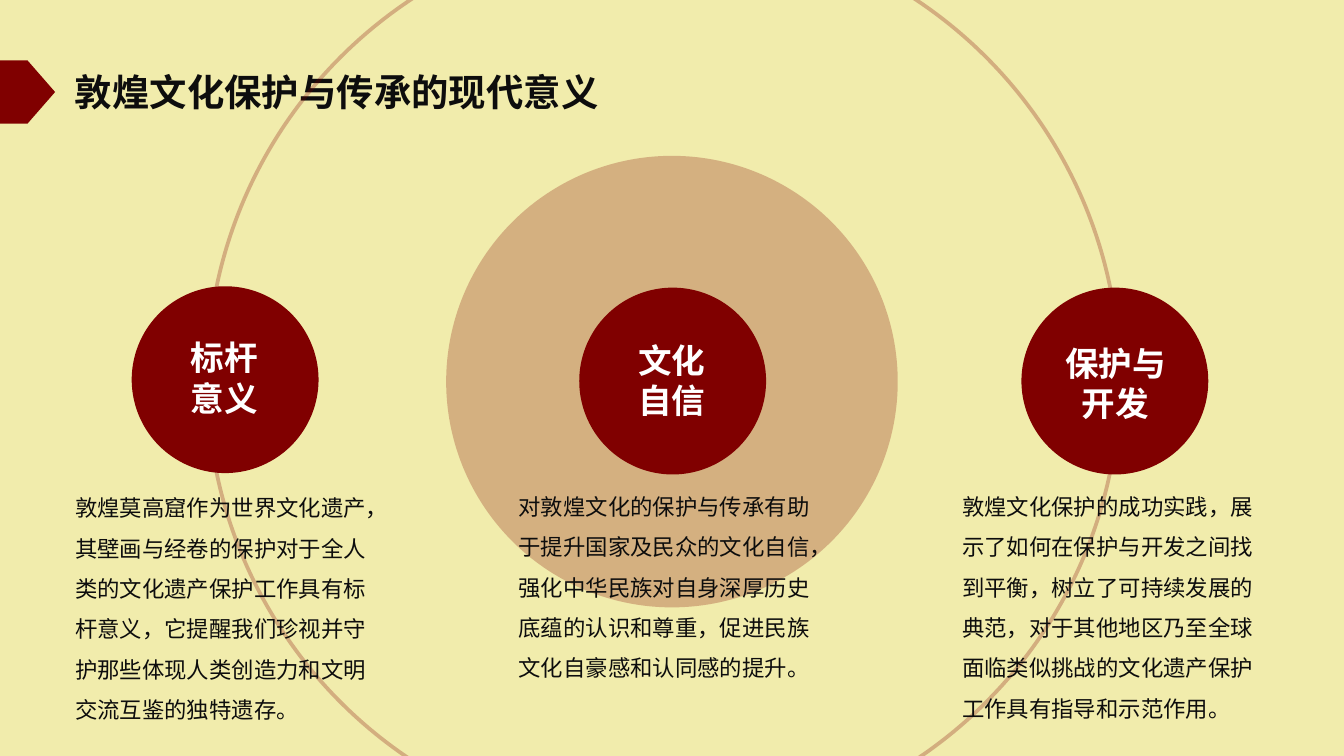
from pptx import Presentation
from pptx.dml.color import RGBColor
from pptx.enum.lang import MSO_LANGUAGE_ID
from pptx.enum.shapes import MSO_SHAPE
from pptx.enum.text import MSO_AUTO_SIZE, PP_ALIGN
from pptx.oxml.ns import qn
from pptx.util import Inches, Pt
from lxml import etree

OVAL = MSO_SHAPE.OVAL
PENTAGON = MSO_SHAPE.PENTAGON
CENTER = PP_ALIGN.CENTER
LEFT = PP_ALIGN.LEFT
CHINESE = MSO_LANGUAGE_ID.SIMPLIFIED_CHINESE
FIT = MSO_AUTO_SIZE.SHAPE_TO_FIT_TEXT

CREAM = RGBColor(0xF1, 0xEC, 0xAC)
MAROON = RGBColor(0x80, 0x00, 0x00)
INK = RGBColor(0x0D, 0x0D, 0x0D)
WHITE = RGBColor(0xFF, 0xFF, 0xFF)

WIDTH = Inches(10)
HEIGHT = WIDTH * 9 // 16
UNIT = WIDTH / 100
COLUMN_LEFT, COLUMN_STEP, COLUMN_WIDTH = 4.6, 33, 24.8
DISC = 13.9
CJK = "Noto Sans CJK SC"

TITLE = {"size": Pt(20), "name": CJK, "bold": True, "color": INK}
LABEL = {"size": Pt(18), "name": "Calibri", "bold": True, "color": WHITE}
BODY = {"size": Pt(12), "name": "Calibri", "bold": False, "color": INK}

COLUMNS = [
    {"label": "标杆意义", "label_box": (13.2, 24.6, 7.1, 7.1),
     "align": LEFT, "disc": (9.8, 21.3), "body_top": 35.3, "body_height": 18.8,
     "body": "敦煌莫高窟作为世界文化遗产，其壁画与经卷的保护对于全人类的"
             "文化遗产保护工作具有标杆意义，它提醒我们珍视并守护那些体现"
             "人类创造力和文明交流互鉴的独特遗存。"},
    {"label": "文化自信", "label_box": (46.5, 24.8, 7.1, 7.1),
     "align": LEFT, "disc": (43.1, 21.4), "body_top": 35.2, "body_height": 15.8,
     "body": "对敦煌文化的保护与传承有助于提升国家及民众的文化自信，强化"
             "中华民族对自身深厚历史底蕴的认识和尊重，促进民族文化自豪感"
             "和认同感的提升。"},
    {"label": "保护与开发", "label_box": (77.9, 25, 10.2, 7.1),
     "align": CENTER, "disc": (76, 21.4), "body_top": 35.2, "body_height": 18.8,
     "body": "敦煌文化保护的成功实践，展示了如何在保护与开发之间找到平衡，"
             "树立了可持续发展的典范，对于其他地区乃至全球面临类似挑战的"
             "文化遗产保护工作具有指导和示范作用。"},
]


def place(box):
    """Turn a box in grid units into slide lengths."""
    return [round(length * UNIT) for length in box]


def fade(paint, percent):
    """Give a solid paint the opacity in percent."""
    color = paint._xPr.find(".//" + qn("a:srgbClr"))
    etree.SubElement(color, qn("a:alpha")).set("val", str(percent * 1000))


def add_solid(page, kind, box):
    """Add a maroon shape without outline."""
    shape = page.shapes.add_shape(kind, *place(box))
    shape.shadow.inherit = False
    shape.fill.solid()
    shape.fill.fore_color.rgb = MAROON
    shape.line.fill.background()
    return shape


def add_text(page, box, text, style, wrap=True, align=LEFT, spacing=1):
    """Add a one-paragraph text box in the given style."""
    frame = page.shapes.add_textbox(*place(box)).text_frame
    frame.word_wrap = wrap
    frame.auto_size = FIT
    para = frame.paragraphs[0]
    para.alignment = align
    para.line_spacing = spacing
    span = para.add_run()
    span.text = text
    for key, value in style.items():
        if key == "color":
            span.font.color.rgb = value
        else:
            setattr(span.font, key, value)
    span.font.language_id = CHINESE
    latin = span.font._element.find(qn("a:latin"))
    east = etree.Element(qn("a:ea"))
    east.set("typeface", CJK)
    latin.addnext(east)


def add_header(page, left, top, width, height):
    """Draw the edge marker and the slide title."""
    add_solid(page, PENTAGON, (left, top, 4.1, height))
    add_text(page, (COLUMN_LEFT, top + 0.15, width, 4.4),
             "敦煌文化保护与传承的现代意义", TITLE, wrap=False)


def add_backdrop(page, left, top, size):
    """Draw the faint ring and the faint central circle."""
    ring = add_solid(page, OVAL, (left, top, size, size))
    ring.fill.background()
    ring.line.color.rgb = MAROON
    ring.line.width = Pt(2)
    fade(ring.line.fill, 25)
    circle = add_solid(page, OVAL, (33.2, 11.6, 33.6, 33.6))
    fade(circle.fill, 25)


def add_column(page, left, width, column):
    """Draw one disc with its label and explanation."""
    add_solid(page, OVAL, (*column["disc"], DISC, DISC))
    add_text(page, column["label_box"], column["label"], LABEL,
             align=column["align"])
    add_text(page, (left, column["body_top"], width, column["body_height"]),
             column["body"], BODY, spacing=1.5)


def main():
    """Build the slide and save the deck."""
    deck = Presentation()
    deck.slide_width, deck.slide_height = WIDTH, HEIGHT
    page = deck.slides.add_slide(deck.slide_layouts[6])
    page.background.fill.solid()
    page.background.fill.fore_color.rgb = CREAM
    add_header(page, 0, 4.5, 41.3, 4.7)
    add_backdrop(page, 15.4, -5.7, 67.9)
    for index, column in enumerate(COLUMNS):
        left = COLUMN_LEFT + index * COLUMN_STEP
        add_column(page, left, COLUMN_WIDTH, column)
    deck.save("out.pptx")


if __name__ == "__main__":
    main()
